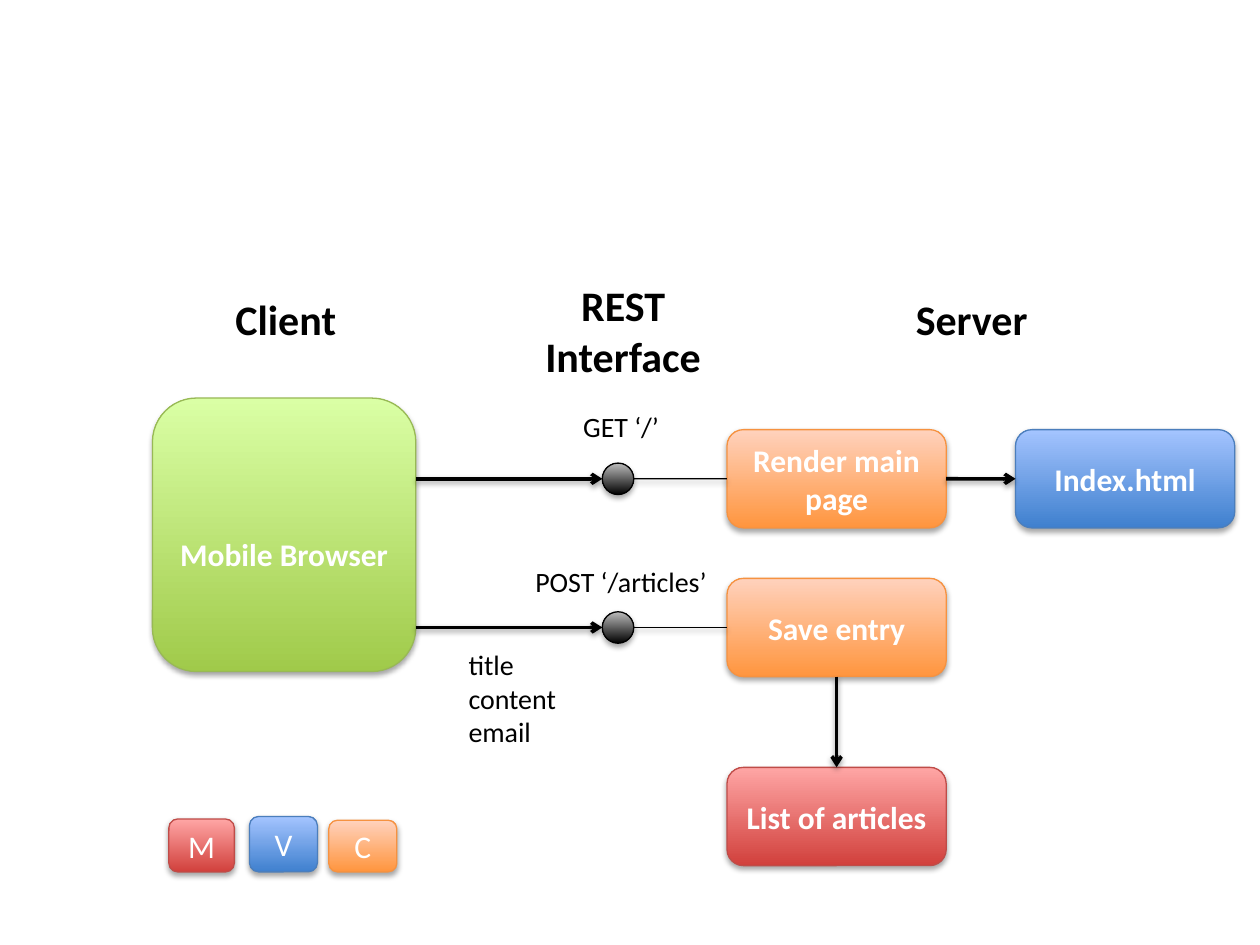
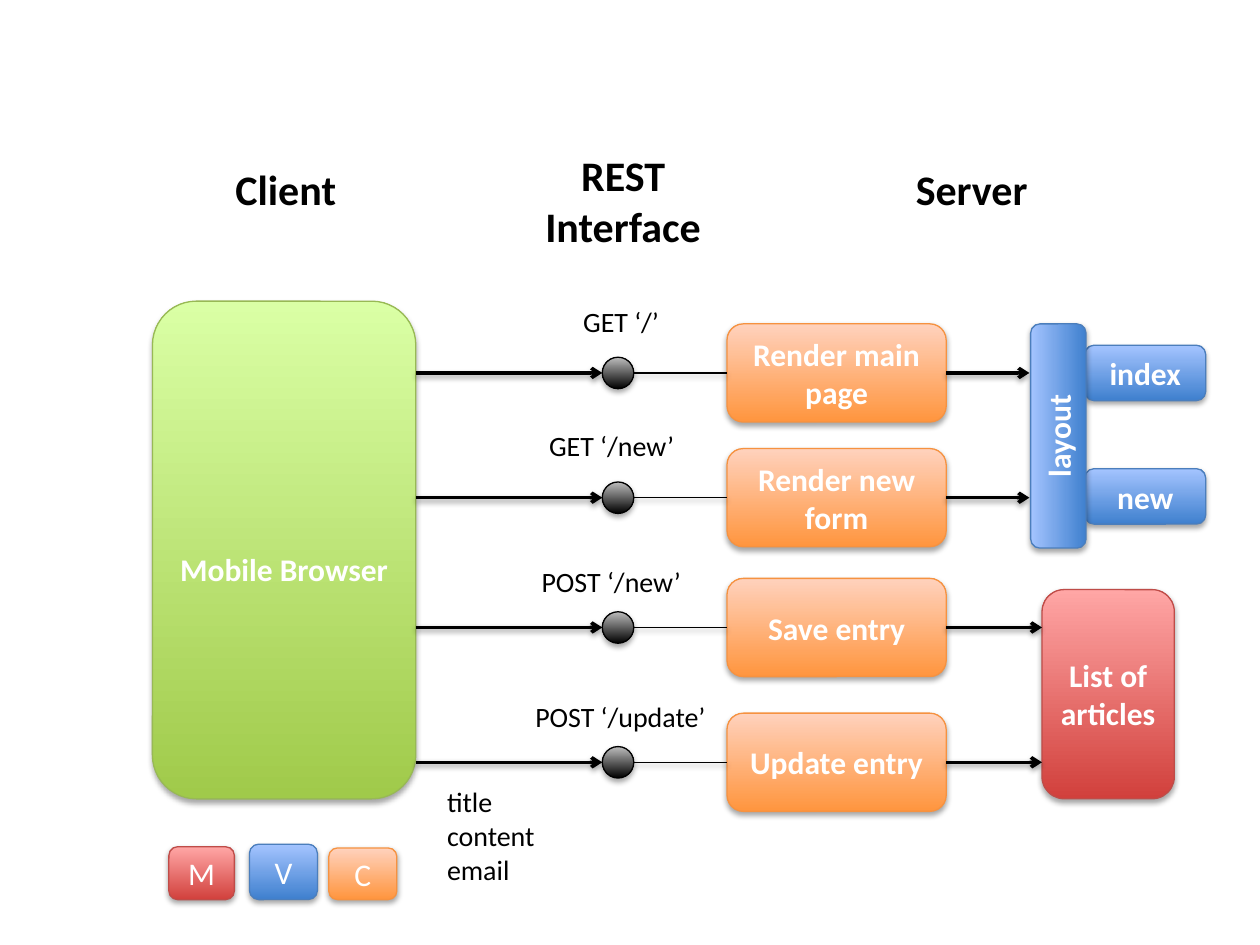
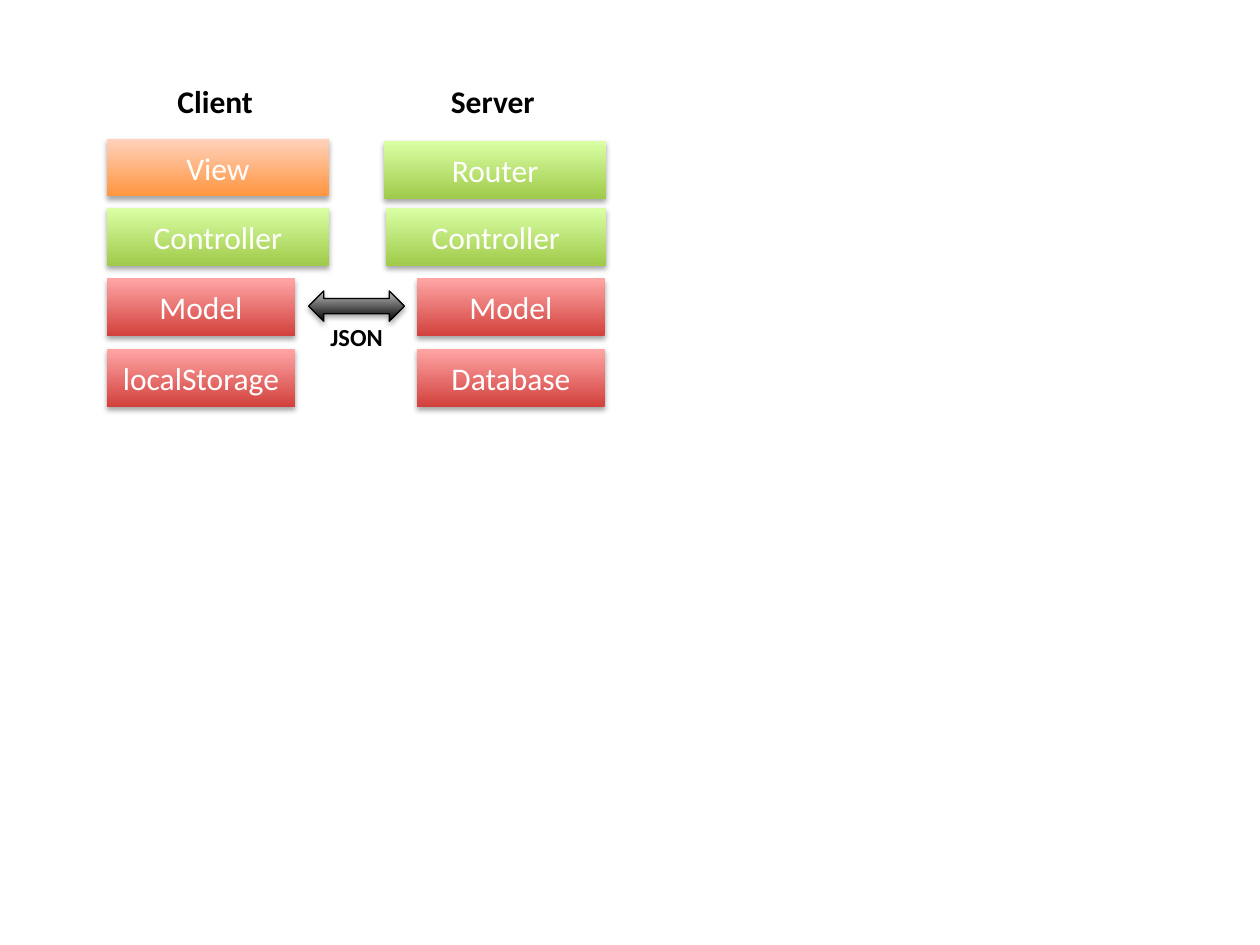
from dataclasses import dataclass
from typing import NamedTuple

from lxml import etree
from pptx import Presentation
from pptx.dml.color import RGBColor
from pptx.enum import shapes, text
from pptx.oxml.ns import qn
from pptx.util import Inches, Pt

FONT = "Calibri"
BLACK, WHITE = "000000", "FFFFFF"
SHAPE = shapes.MSO_SHAPE
TOP, LEFT, BOTTOM, RIGHT = range(4)


class Tone(NamedTuple):
    dark: str
    light: str
    edge: str


ORANGE = Tone("FF953E", "FFD2BD", "F69240")
BLUE = Tone("3F80CE", "A4C4FF", "4B7EBC")
RED = Tone("D1403C", "FFA6A5", "BF4C48")
GREEN = Tone("A0CA4A", "DAFFA5", "98B955")
GREY = Tone("000000", "BDBDBD", "000000")


class Place(NamedTuple):
    left: float
    top: float
    width: float
    height: float

    def emu(self) -> list:
        return [Inches(v) for v in self]


@dataclass
class Endpoint:
    label: str
    label_left: float
    label_top: float
    label_width: float
    action: str
    y: float


@dataclass
class Layer:
    name: str
    tone: Tone
    left: float
    top: float
    width: float


# Columns of the two request diagrams
BROWSER_LEFT, BROWSER_W = 1.21, 2.09
BROWSER_RIGHT = BROWSER_LEFT + BROWSER_W
NODE_LEFT, NODE = 4.78, 0.25
BOX_LEFT, BOX_W, BOX_H = 5.77, 1.74, 0.78
BOX_RIGHT = BOX_LEFT + BOX_W


# Formatting helpers
def rgb(value: str) -> RGBColor:
    return RGBColor.from_string(value)


def add_shadow(sp, alpha: int = 35, distance: float = 1.8) -> None:
    effects = etree.SubElement(sp._element.spPr, qn("a:effectLst"))
    outer = etree.SubElement(effects, qn("a:outerShdw"), blurRad=str(Pt(3.15)),
                             dist=str(Pt(distance)), dir="5400000", rotWithShape="0")
    clr = etree.SubElement(outer, qn("a:srgbClr"), val=BLACK)
    etree.SubElement(clr, qn("a:alpha"), val=str(alpha * 1000))


def put_text(tf, content: str, size: float = 18, bold: bool = False,
             color: str = WHITE, center: bool = True) -> None:
    for i, line in enumerate(content.split("\n")):
        p = tf.add_paragraph() if i else tf.paragraphs[0]
        p.alignment = text.PP_ALIGN.CENTER if center else text.PP_ALIGN.LEFT
        r = p.add_run()
        r.text = line
        r.font.name, r.font.size, r.font.bold = FONT, Pt(size), bold
        r.font.color.rgb = rgb(color)


# Drawing helpers
def add_label(s, place: Place, content: str, wrap: bool = False, **fmt) -> None:
    tf = s.shapes.add_textbox(*place.emu()).text_frame
    tf.word_wrap = wrap
    tf.auto_size = text.MSO_AUTO_SIZE.SHAPE_TO_FIT_TEXT
    put_text(tf, content, color=BLACK, center=wrap, **fmt)


def add_box(s, place: Place, tone: Tone, content: str = "", kind=SHAPE.ROUNDED_RECTANGLE,
            outlined: bool = True, **fmt):
    sp = s.shapes.add_shape(kind, *place.emu())
    sp.fill.gradient()
    sp.fill.gradient_angle = 90
    for stop, color in zip(sp.fill.gradient_stops, (tone.dark, tone.light)):
        stop.color.rgb = rgb(color)
    if outlined:
        sp.line.color.rgb = rgb(tone.edge)
        sp.line.width = Pt(0.75)
    else:
        sp.line.fill.background()
    add_shadow(sp)
    if content:
        put_text(sp.text_frame, content, **fmt)
    return sp


def add_line(s, x1: float, y1: float, x2: float, y2: float, arrow: bool = True,
             begin=None, end=None) -> None:
    """begin and end are (shape, side) pairs to join the line to."""
    c = s.shapes.add_connector(shapes.MSO_CONNECTOR.STRAIGHT,
                               *(Inches(v) for v in (x1, y1, x2, y2)))
    c.line.color.rgb = rgb(BLACK)
    c.line.width = Pt(2 if arrow else 0.75)
    if arrow:
        etree.SubElement(c.line._get_or_add_ln(), qn("a:tailEnd"), type="arrow")
        add_shadow(c, 38, 1.6)
    else:
        add_shadow(c)
    if begin:
        c.begin_connect(*begin)
    if end:
        c.end_connect(*end)


# Parts shared by the request diagrams
def add_headings(s, top: float) -> None:
    for name, left, width in (("Client", 1.77, 1.01), ("Server", 7.17, 1.1)):
        add_label(s, Place(left, top, width, 0.5), name, size=24, bold=True)
    add_label(s, Place(4, top - 0.11, 1.89, 0.91), "REST Interface",
              wrap=True, size=24, bold=True)


def add_browser(s, top: float, height: float) -> None:
    sp = add_box(s, Place(BROWSER_LEFT, top, BROWSER_W, height), GREEN,
                 "Mobile Browser", bold=True)
    sp.text_frame.margin_top = Inches(0.35)


def add_legend(s, bottom: float) -> None:
    for letter, tone, left, width, height in (("M", RED, 1.34, 0.52, 0.42),
                                              ("V", BLUE, 1.98, 0.54, 0.44),
                                              ("C", ORANGE, 2.61, 0.54, 0.41)):
        add_box(s, Place(left, bottom - height, width, height), tone, letter)


def add_endpoint(s, e: Endpoint):
    add_label(s, Place(e.label_left, e.label_top, e.label_width, 0.37), e.label, size=16)
    box = add_box(s, Place(BOX_LEFT, e.y - BOX_H / 2, BOX_W, BOX_H), ORANGE,
                  e.action, bold=True)
    add_line(s, BOX_LEFT, e.y, NODE_LEFT + NODE, e.y, arrow=False, begin=(box, LEFT))
    add_box(s, Place(NODE_LEFT, e.y - NODE / 2, NODE, NODE), GREY, kind=SHAPE.OVAL)
    add_line(s, BROWSER_RIGHT, e.y, NODE_LEFT, e.y)
    return box


def add_fields(s, left: float, top: float) -> None:
    add_label(s, Place(left, top, 0.91, 0.91), "title\ncontent\nemail", size=16)


# Slides
def build_first_version(s) -> None:
    add_headings(s, 2.28)
    add_browser(s, 3.16, 2.17)
    render = add_endpoint(s, Endpoint("GET ‘/’", 4.53, 3.2, 0.81, "Render main page", 3.8))
    save = add_endpoint(s, Endpoint("POST ‘/articles’", 4.15, 4.43, 1.58, "Save entry", 4.98))
    index = add_box(s, Place(8.06, 3.41, BOX_W, BOX_H), BLUE, "Index.html", bold=True)
    articles = add_box(s, Place(BOX_LEFT, 6.09, BOX_W, BOX_H), RED,
                       "List of articles", bold=True)
    add_line(s, BOX_RIGHT, 3.8, 8.06, 3.8, begin=(render, RIGHT), end=(index, LEFT))
    add_line(s, 6.64, 5.37, 6.64, 6.09, begin=(save, BOTTOM), end=(articles, TOP))
    add_fields(s, 3.62, 5.09)
    add_legend(s, 6.92)


def build_second_version(s) -> None:
    layout_left, articles_left = 8.17, 8.27
    add_headings(s, 1.25)
    add_browser(s, 2.39, 3.95)
    add_box(s, Place(articles_left, 4.68, 1.05, 1.66), RED, "List of articles", bold=True)
    for e, target in (
        (Endpoint("GET ‘/’", 4.53, 2.37, 0.81, "Render main page", 2.96), layout_left),
        (Endpoint("GET ‘/new’", 4.26, 3.35, 1.2, "Render new form", 3.95), layout_left),
        (Endpoint("POST ‘/new’", 4.2, 4.43, 1.32, "Save entry", 4.98), articles_left),
        (Endpoint("POST ‘/update’", 4.15, 5.5, 1.58, "Update entry", 6.05), articles_left),
    ):
        box = add_endpoint(s, e)
        add_line(s, BOX_RIGHT, e.y, target, e.y, begin=(box, RIGHT))
    for name, top in (("index", 2.74), ("new", 3.72)):
        add_box(s, Place(8.61, top, 0.96, 0.44), BLUE, name, bold=True)
    layout = add_box(s, Place(7.51, 3.24, 1.78, 0.44), BLUE, "layout", bold=True)
    layout.rotation = 270
    add_fields(s, 3.45, 6.18)
    add_legend(s, 7.14)


def build_layers(s) -> None:
    for name, left, width in (("Client", 1.31, 0.81), ("Server", 3.48, 0.88)):
        add_label(s, Place(left, 0.6, width, 0.4), name, bold=True)
    for layer in (
        Layer("View", ORANGE, 0.85, 1.1, 1.76),
        Layer("Controller", GREEN, 0.85, 1.65, 1.76),
        Layer("Model", RED, 0.85, 2.21, 1.49),
        Layer("localStorage", RED, 0.85, 2.77, 1.49),
        Layer("Router", GREEN, 3.05, 1.12, 1.76),
        Layer("Controller", GREEN, 3.06, 1.65, 1.75),
        Layer("Model", RED, 3.31, 2.21, 1.49),
        Layer("Database", RED, 3.31, 2.77, 1.49),
    ):
        add_box(s, Place(layer.left, layer.top, layer.width, 0.46), layer.tone,
                layer.name, kind=SHAPE.RECTANGLE, outlined=False)
    add_box(s, Place(2.45, 2.31, 0.76, 0.24), GREY, kind=SHAPE.LEFT_RIGHT_ARROW)
    add_label(s, Place(2.45, 2.51, 0.76, 0.34), "JSON", wrap=True, size=14, bold=True)


def main() -> None:
    prs = Presentation()
    prs.slide_width, prs.slide_height = Inches(10), Inches(7.5)
    blank = prs.slide_layouts[6]
    for build in (build_first_version, build_second_version, build_layers):
        build(prs.slides.add_slide(blank))
    prs.save("out.pptx")


if __name__ == "__main__":
    main()
